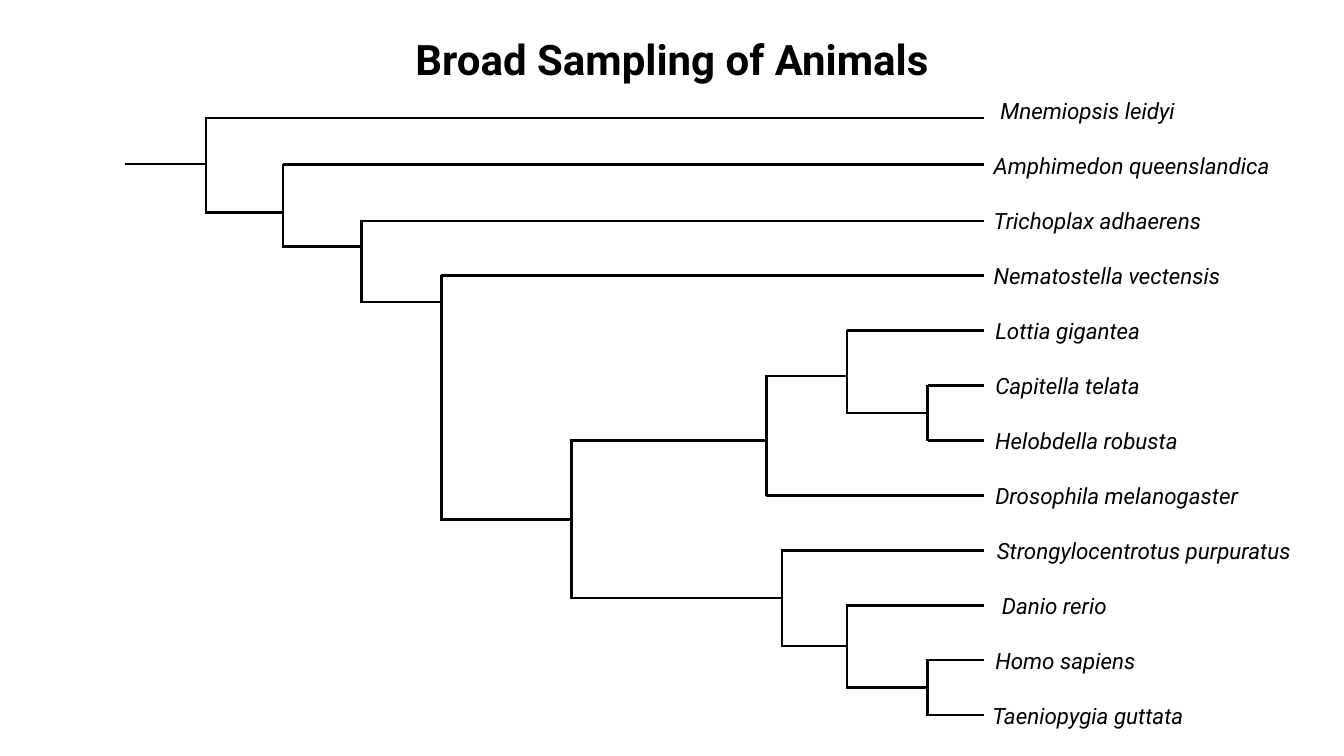
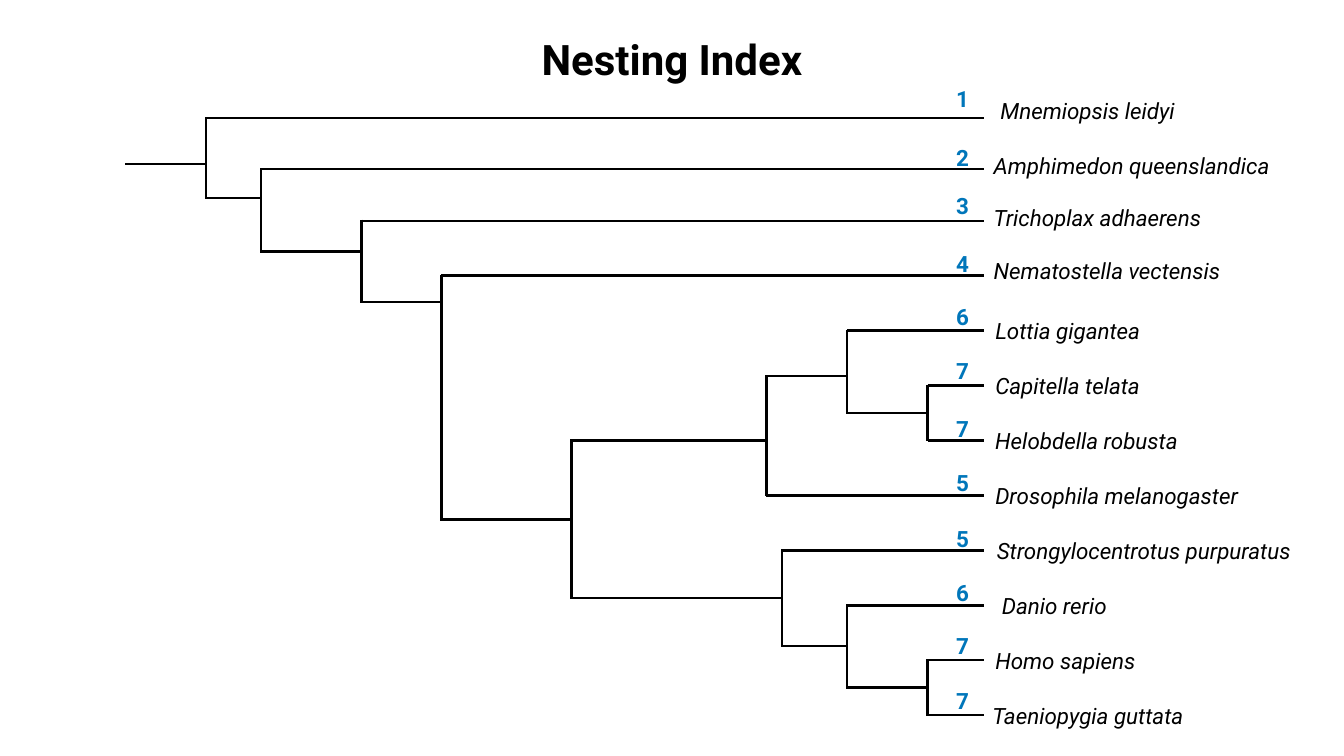
from dataclasses import dataclass
from lxml.etree import SubElement
from pptx import Presentation
from pptx.dml.color import RGBColor
from pptx.enum.shapes import MSO_CONNECTOR as Connector
from pptx.enum.text import MSO_ANCHOR as Anchor, MSO_AUTO_SIZE as AutoSize, PP_ALIGN as Align
from pptx.oxml.ns import qn
from pptx.util import Inches, Pt


@dataclass(frozen=True)
class Theme:
    font: str = "Roboto"
    ink: RGBColor = RGBColor(0, 0, 0)
    accent: RGBColor = RGBColor(0x00, 0x76, 0xBA)
    paper: RGBColor = RGBColor(255, 255, 255)
    title_size: int = 60
    text_size: int = 32
    branch_width: float = 3.5
    inset: float = 0.08


@dataclass(frozen=True)
class Grid:
    left: float
    top: float
    width: float
    height: float
    columns: int
    rows: int

    def x(self, column):
        return self.left + column * self.width / self.columns

    def y(self, row):
        return self.top + row * self.height / self.rows


@dataclass(frozen=True)
class Leaf:
    row: float


@dataclass(frozen=True)
class Fork:
    column: float
    row: float
    upper: object
    lower: object


THEME = Theme()
SLIDE_WIDTH, SLIDE_HEIGHT = 26.67, 15
PAGE = Grid(0, 0, SLIDE_WIDTH, SLIDE_HEIGHT, 100, 100)
TREE = Grid(2.49, 2.2, 17.03, 11.99, 100, 11)
TEXT_HEIGHT = 0.69
CORNER_OVERLAP = 0.02
INDEX_COLUMN, INDEX_WIDTH = 96.3, 2.47

SPECIES = [
    ("Mnemiopsis leidyi", 101.47, 21.73),
    ("Amphimedon queenslandica", 100.7, 34.17),
    ("Trichoplax adhaerens", 100.7, 25.54),
    ("Nematostella vectensis", 100.7, 27.72),
    ("Lottia gigantea", 100.88, 18.2),
    ("Capitella telata", 100.88, 18.14),
    ("Helobdella robusta", 100.88, 22.84),
    ("Drosophila melanogaster", 100.88, 29.83),
    ("Strongylocentrotus purpuratus", 101.06, 36.41),
    ("Danio rerio", 101.64, 13.62),
    ("Homo sapiens", 100.88, 17.67),
    ("Taeniopygia guttata", 100.53, 23.61),
]

NESTING_INDEXES = [
    ("1", -0.22), ("2", 0.85), ("3", 1.72), ("4", 2.77), ("6", 3.75), ("7", 4.73),
    ("7", 5.78), ("5", 6.77), ("5", 7.78), ("6", 8.76), ("7", 9.74), ("7", 10.73),
]


def build_tree(sponge_fork, sponge_stem, sponge_row, placozoan_stem):
    annelids = Fork(93.48, 5.5, Leaf(5), Leaf(6))
    spiralians = Fork(84.09, 4.83, Leaf(4), annelids)
    protostomes = Fork(74.69, 6, spiralians, Leaf(7))
    amniotes = Fork(93.48, 10.5, Leaf(10), Leaf(11))
    vertebrates = Fork(84.09, 9.74, Leaf(9), amniotes)
    deuterostomes = Fork(76.51, 8.87, Leaf(8), vertebrates)
    bilaterians = Fork(51.97, 7.44, protostomes, deuterostomes)
    cnidarian_split = Fork(36.82, 3.48, Leaf(3), bilaterians)
    placozoan_split = Fork(27.48, placozoan_stem, Leaf(2), cnidarian_split)
    sponge_split = Fork(sponge_fork, sponge_stem, Leaf(sponge_row), placozoan_split)
    return Fork(9.4, 0.97, Leaf(0.13), sponge_split)


def add_text(slide, box, text, size, color, bold=False, italic=False,
             align=Align.LEFT, wrap=False):
    shape = slide.shapes.add_textbox(*(Inches(length) for length in box))
    frame = shape.text_frame
    frame.word_wrap = wrap
    frame.auto_size = AutoSize.SHAPE_TO_FIT_TEXT
    frame.vertical_anchor = Anchor.MIDDLE
    frame.margin_left = frame.margin_right = Inches(THEME.inset)
    frame.margin_top = frame.margin_bottom = Inches(THEME.inset)
    paragraph = frame.paragraphs[0]
    paragraph.alignment = align
    run = paragraph.add_run()
    run.text = text
    run.font.name = THEME.font
    run.font.size = Pt(size)
    run.font.bold = bold
    run.font.italic = italic
    run.font.color.rgb = color


def add_branch(slide, x1, y1, x2, y2):
    ends = (Inches(length) for length in (x1, y1, x2, y2))
    branch = slide.shapes.add_connector(Connector.STRAIGHT, *ends)
    branch.line.color.rgb = THEME.ink
    branch.line.width = Pt(THEME.branch_width)
    SubElement(branch._element.spPr, qn("a:effectLst"))


def draw_title(slide, grid, title, width):
    box = (grid.x(50 - width / 2), grid.y(3.87), grid.x(width), grid.y(7.73))
    add_text(slide, box, title, THEME.title_size, THEME.ink, bold=True, align=Align.CENTER)


def draw_species(slide, grid, shifted_rows):
    for row, (name, column, width) in enumerate(SPECIES):
        middle = grid.y(shifted_rows.get(row, row))
        box = (grid.x(column), middle - TEXT_HEIGHT / 2,
               width * grid.width / grid.columns, TEXT_HEIGHT)
        add_text(slide, box, name, THEME.text_size, THEME.ink, italic=True)


def draw_tree(slide, grid, node, parent_column=0):
    start, level = grid.x(parent_column), grid.y(node.row)
    if isinstance(node, Leaf):
        add_branch(slide, start, level, grid.x(grid.columns), level)
        return
    x = grid.x(node.column)
    add_branch(slide, start, level, x, level)
    add_branch(slide, x, grid.y(node.upper.row) - CORNER_OVERLAP,
               x, grid.y(node.lower.row) + CORNER_OVERLAP)
    for child in (node.upper, node.lower):
        draw_tree(slide, grid, child, node.column)


def draw_indexes(slide, grid, indexes):
    for value, row in indexes:
        box = (grid.x(INDEX_COLUMN), grid.y(row) - TEXT_HEIGHT / 2,
               INDEX_WIDTH * grid.width / grid.columns, TEXT_HEIGHT)
        add_text(slide, box, value, THEME.text_size, THEME.accent,
                 bold=True, align=Align.CENTER, wrap=True)


def add_tree_slide(presentation, title, title_width, tree, shifted_rows, indexes):
    slide = presentation.slides.add_slide(presentation.slide_layouts[6])
    slide.background.fill.solid()
    slide.background.fill.fore_color.rgb = THEME.paper
    draw_species(slide, TREE, shifted_rows)
    draw_title(slide, PAGE, title, title_width)
    draw_tree(slide, TREE, tree)
    draw_indexes(slide, TREE, indexes)


def main():
    presentation = Presentation()
    presentation.slide_width = Inches(SLIDE_WIDTH)
    presentation.slide_height = Inches(SLIDE_HEIGHT)
    add_tree_slide(presentation, "Broad Sampling of Animals", 41.02,
                   build_tree(18.38, 1.85, 0.98, 2.47), {}, [])
    add_tree_slide(presentation, "Nesting Index", 21.11,
                   build_tree(15.8, 1.59, 1.06, 2.56), {2: 1.95, 3: 2.9}, NESTING_INDEXES)
    presentation.save("out.pptx")


if __name__ == "__main__":
    main()
